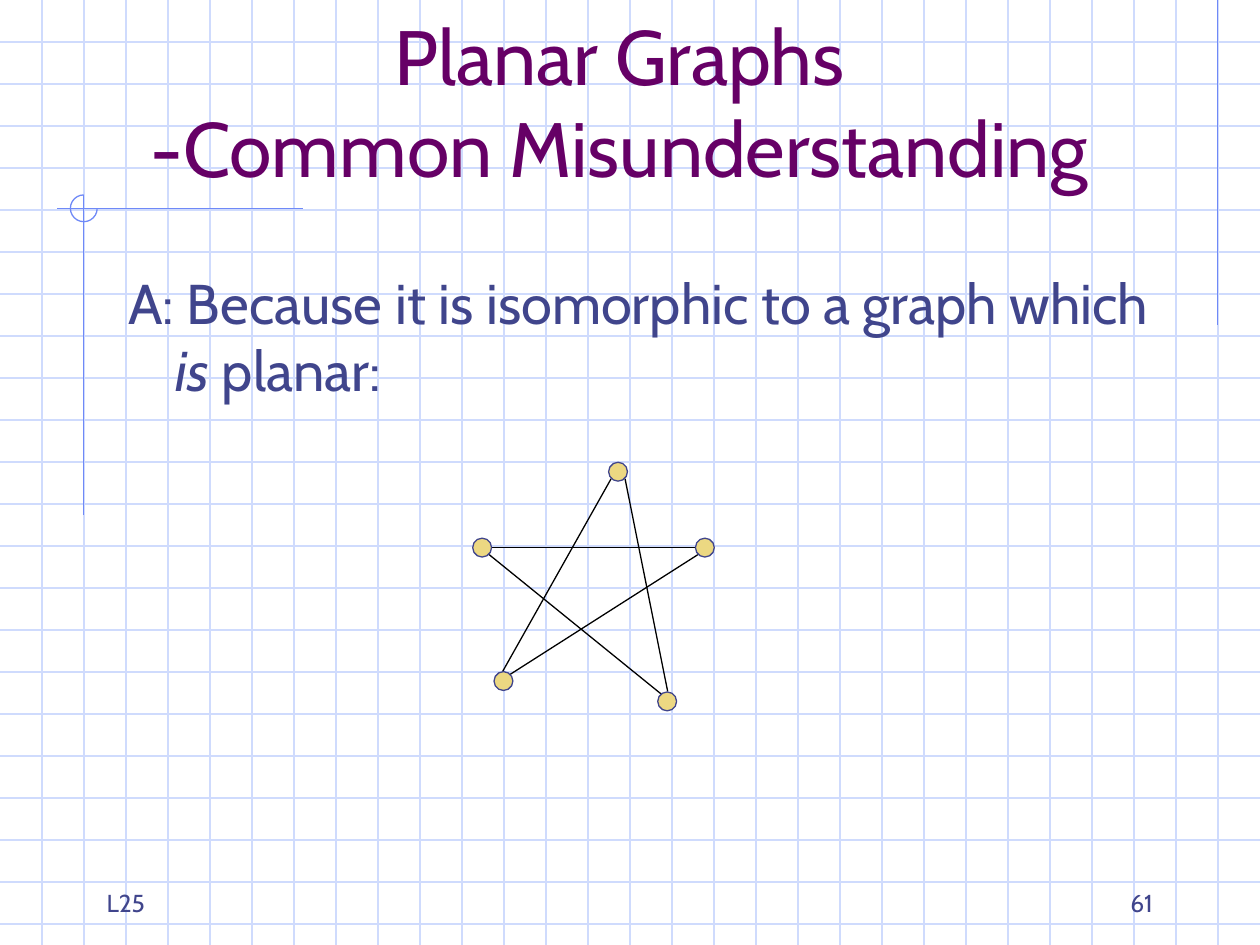
"""Build the slide on planar graphs with a five-pointed star graph."""
from lxml import etree
from pptx import Presentation
from pptx.dml.color import RGBColor
from pptx.enum.shapes import MSO_CONNECTOR, MSO_SHAPE
from pptx.enum.text import MSO_ANCHOR, PP_ALIGN
from pptx.oxml.ns import qn
from pptx.util import Cm, Pt

STRAIGHT = MSO_CONNECTOR.STRAIGHT
OVAL, ARC = MSO_SHAPE.OVAL, MSO_SHAPE.ARC
TOP, BOTTOM = MSO_ANCHOR.TOP, MSO_ANCHOR.BOTTOM
LEFT, CENTER, RIGHT = PP_ALIGN.LEFT, PP_ALIGN.CENTER, PP_ALIGN.RIGHT

FONT = "Cabin"
COLORS = {name: RGBColor.from_string(value) for name, value in {
    "grid": "CFDBFD",
    "accent": "6F89F7",
    "title": "660066",
    "text": "40458C",
    "vertex": "ECD882",
    "edge": "000000",
}.items()}
WIDTH, HEIGHT = 25.4, 19.05
GRID_STEP = WIDTH / 30
VERTEX_SIZE = 0.38

presentation = Presentation()
presentation.slide_width = Cm(WIDTH)
presentation.slide_height = Cm(HEIGHT)
slide = presentation.slides.add_slide(presentation.slide_layouts[6])


def add_line(x1, y1, x2, y2, color):
    line = slide.shapes.add_connector(STRAIGHT, Cm(x1), Cm(y1), Cm(x2), Cm(y2))
    line.line.color.rgb = COLORS[color]
    line.line.width = Pt(0.75)
    etree.SubElement(line._element.spPr, qn("a:effectLst"))


def add_text(left, top, width, height, runs, size, color, alignment, anchor):
    box = slide.shapes.add_textbox(Cm(left), Cm(top), Cm(width), Cm(height))
    frame = box.text_frame
    frame.word_wrap = True
    frame.vertical_anchor = anchor
    paragraph = frame.paragraphs[0]
    paragraph.alignment = alignment
    for index, text in enumerate(runs):
        if text == "\n":
            paragraph.add_line_break()
        else:
            paragraph.add_run().text = text
    paragraph.font.name = FONT
    paragraph.font.size = Pt(size)
    paragraph.font.color.rgb = COLORS[color]
    return paragraph


for row in range(1, 23):
    add_line(0, row * GRID_STEP, WIDTH, row * GRID_STEP, "grid")
for column in range(1, 30):
    add_line(column * GRID_STEP, 0, column * GRID_STEP, HEIGHT, "grid")

add_line(24.55, 0, 24.55, 6.56, "accent")
add_line(6.1, 4.2, 1.15, 4.2, "accent")
add_line(1.69, 3.94, 1.69, 10.39, "accent")
corner_arc = slide.shapes.add_shape(ARC, Cm(1.42), Cm(3.93), Cm(0.54), Cm(0.54))
corner_arc.adjustments[0] = 0
corner_arc.adjustments[1] = 162
corner_arc.shadow.inherit = False
corner_arc.fill.background()
corner_arc.line.color.rgb = COLORS["accent"]
corner_arc.line.width = Pt(0.75)

add_text(1.9, 17.35, 5.28, 1.27, ["L25"], 14, "text", LEFT, BOTTOM)
add_text(18.21, 17.35, 5.28, 1.27, ["61"], 14, "text", RIGHT, BOTTOM)
add_text(1.7, 0.84, 21.59, 3.18,
         ["Planar Graphs", "\n", "-Common Misunderstanding"],
         44, "title", CENTER, BOTTOM)
answer = add_text(2.34, 5.28, 21.59, 11.43,
                  ["A: Because it is isomorphic to a graph which ", "is", " planar:"],
                  32, "text", LEFT, TOP)
answer.runs[1].font.italic = True
properties = answer._p.get_or_add_pPr()
properties.set("marL", str(Cm(0.95)))
properties.set("indent", str(-Cm(0.95)))

edges = [
    (9.91, 11.04, 14.02, 11.04),
    (10.26, 13.61, 14.07, 11.18),
    (13.34, 14.0, 9.86, 11.18),
    (12.32, 9.65, 10.13, 13.54),
    (12.6, 9.65, 13.46, 13.94),
]
for edge in edges:
    add_line(*edge, "edge")

vertex_centers = [(9.72, 11.04), (14.21, 11.04), (10.15, 13.73),
                  (13.45, 14.14), (12.46, 9.51)]
for x, y in vertex_centers:
    vertex = slide.shapes.add_shape(
        OVAL, Cm(x - VERTEX_SIZE / 2), Cm(y - VERTEX_SIZE / 2),
        Cm(VERTEX_SIZE), Cm(VERTEX_SIZE))
    vertex.shadow.inherit = False
    vertex.fill.solid()
    vertex.fill.fore_color.rgb = COLORS["vertex"]
    vertex.line.color.rgb = COLORS["text"]
    vertex.line.width = Pt(0.75)

presentation.save("out.pptx")
